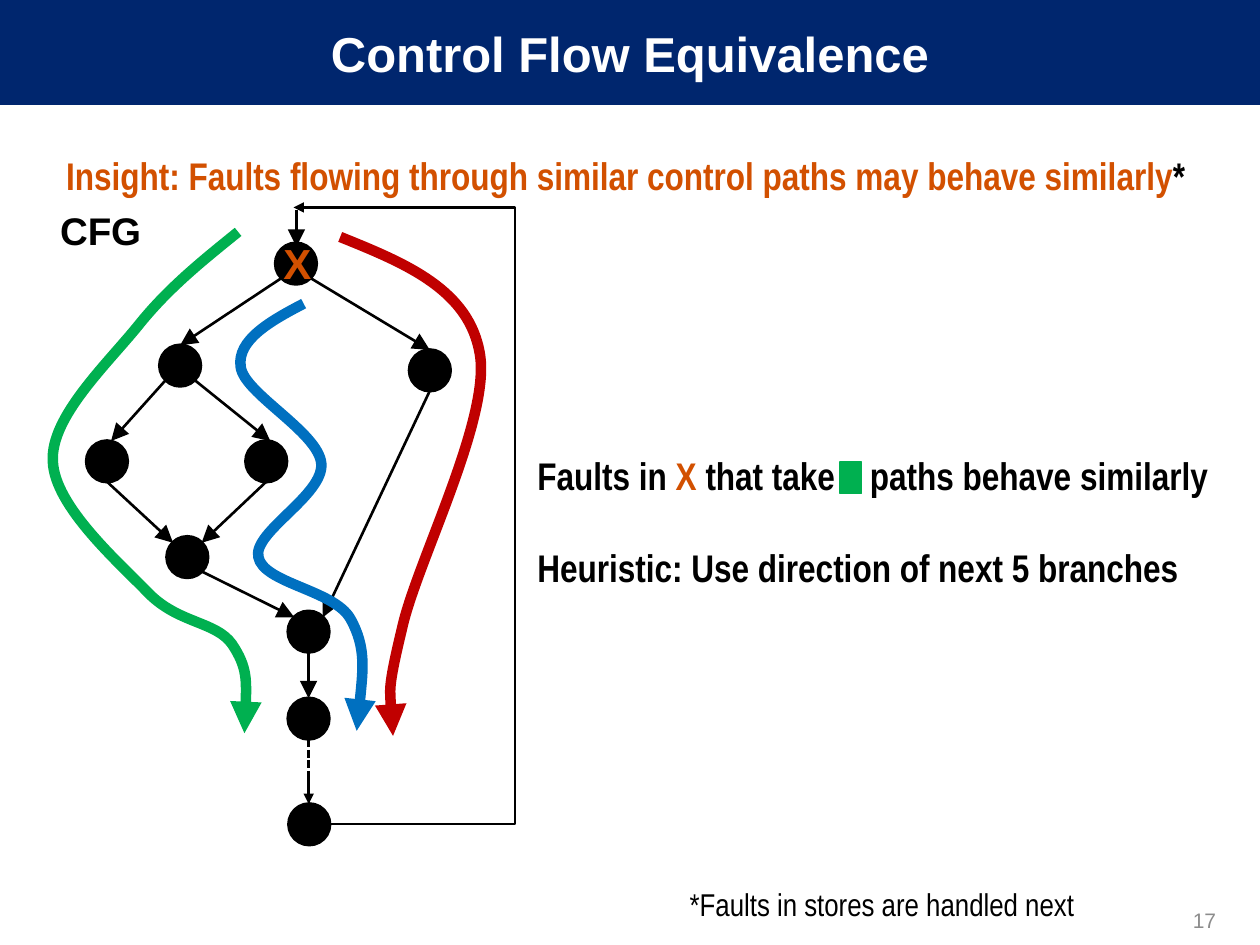
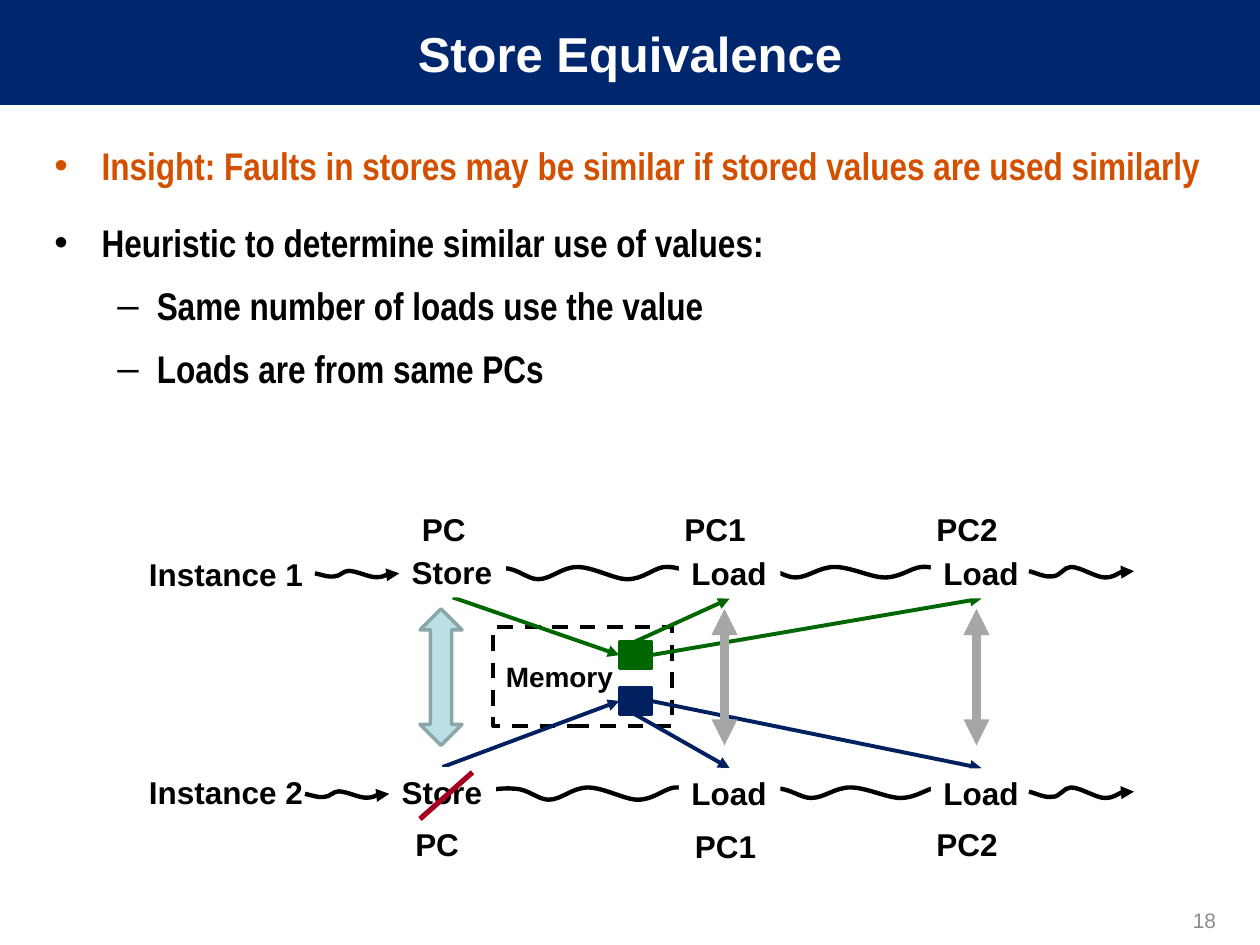
import pptx
import pptx.util
import pptx.dml.color
import pptx.enum.dml
import pptx.enum.shapes
import pptx.enum.text
import pptx.oxml.ns
import lxml.etree

Pt = pptx.util.Pt
rgb = pptx.dml.color.RGBColor.from_string
qn = pptx.oxml.ns.qn
Sub = lxml.etree.SubElement
SHAPE = pptx.enum.shapes.MSO_SHAPE
CONN = pptx.enum.shapes.MSO_CONNECTOR
DASH = pptx.enum.dml.MSO_LINE
ALIGN = pptx.enum.text.PP_ALIGN
ANCHOR = pptx.enum.text.MSO_ANCHOR

NAVY, ORANGE, GREEN, GREY = "00266E", "D25000", "00B050", "A6A6A6"
BLACK, WHITE, DARK_GREEN, DARK_BLUE = "000000", "FFFFFF", "006600", "002060"
TITLE = {"name": "Arial", "size": Pt(28), "bold": True}
NUMBER = {"name": "Arial", "size": Pt(12), "bold": False}
LABEL = {"name": "Arial", "size": Pt(18), "bold": True}
BODY = {"name": "Arial Narrow", "size": Pt(22), "bold": True}
NOTE = {"name": "Arial Narrow", "size": Pt(18), "bold": False}
INSIGHT = {"line_spacing": 1.2, "space_before": Pt(12.2)}
CENTER = {"alignment": ALIGN.CENTER}
MIDDLE = {"vertical_anchor": ANCHOR.MIDDLE}


def box(s, kind, at, fill=None, edge=None, weight=2, paras=(), font=LABEL, para={}, frame={}):
    at = [Pt(v) for v in at]
    if kind is None:
        sp = s.shapes.add_textbox(*at)
    else:
        sp = s.shapes.add_shape(kind, *at)
        sp.shadow.inherit = False
    if fill:
        sp.fill.solid()
        sp.fill.fore_color.rgb = rgb(fill)
    if edge:
        sp.line.color.rgb = rgb(edge)
        sp.line.width = Pt(weight)
    else:
        sp.line.fill.background()
    tf = sp.text_frame
    for k, v in {"word_wrap": True, "vertical_anchor": ANCHOR.TOP, **frame}.items():
        setattr(tf, k, v)
    for i, runs in enumerate(paras):
        p = tf.add_paragraph() if i else tf.paragraphs[0]
        for k, v in {"alignment": ALIGN.LEFT, **para}.items():
            setattr(p, k, v)
        for text, color in runs:
            r = p.add_run()
            r.text = text
            for k, v in font.items():
                setattr(r.font, k, v)
            r.font.color.rgb = rgb(color)
    return sp


def line(s, pts, color, weight, ends=("tailEnd",), dash=None, kind=CONN.STRAIGHT, head="med"):
    if len(pts) == 2:
        sp = s.shapes.add_connector(kind, *[Pt(v) for pt in pts for v in pt])
    else:
        track = [(Pt(x), Pt(y)) for x, y in pts]
        fb = s.shapes.build_freeform(*track[0])
        fb.add_line_segments(track[3::3], close=False)
        sp = fb.convert_to_shape()
        sp.fill.background()
        segments = list(sp._element.iter(qn("a:lnTo")))
        for i, segment in enumerate(segments):
            segment.getparent().replace(segment, curve := lxml.etree.Element(qn("a:cubicBezTo")))
            for x, y in track[3 * i + 1:3 * i + 4]:
                Sub(curve, qn("a:pt"), x=str(x - sp.left), y=str(y - sp.top))
    sp.line.color.rgb = rgb(color)
    sp.line.width = Pt(weight)
    if dash:
        sp.line.dash_style = dash
    spPr = sp._element.spPr
    for end in ends:
        Sub(spPr.find(qn("a:ln")), qn("a:" + end), type="triangle", w=head, len=head)
    Sub(spPr, qn("a:effectLst"))
    return sp


prs = pptx.Presentation()
prs.slide_width, prs.slide_height = Pt(720), Pt(540)
slides = []
for title, number in (("Control Flow Equivalence", "17"), ("Store Equivalence", "18")):
    s = prs.slides.add_slide(prs.slide_layouts[6])
    box(s, SHAPE.RECTANGLE, (0, 0, 720, 60), NAVY, paras=[[(title, WHITE)]],
        font=TITLE, para=CENTER, frame=MIDDLE)
    box(s, None, (534, 511, 168, 29), paras=[[(number, "8C8C8C")]],
        font=NUMBER, para={"alignment": ALIGN.RIGHT}, frame=MIDDLE)
    slides.append(s)

s = slides[0]
box(s, None, (0, 78, 720, 57), font=BODY, para={**CENTER, **INSIGHT}, paras=[[
    ("Insight: Faults flowing through similar control paths may behave similarly", ORANGE), ("* ", BLACK)]])

size = 23.3
nodes = {"X": (157.5, 139), "right": (234, 200), "left": (91.3, 197.3), "far left": (49.5, 252),
         "inner": (140.5, 252), "join": (95.4, 306.7), "merge": (164.7, 349.3), "next": (164.7, 399),
         "last": (165.1, 459.4)}
for at in nodes.values():
    box(s, SHAPE.OVAL, (*at, size, size), BLACK, BLACK)

sides = {"T": (0.5, 0), "B": (0.5, 1), "TL": (0.15, 0.15), "TR": (0.85, 0.15),
         "BL": (0.15, 0.85), "BR": (0.85, 0.85), "TT": (0.6, 0)}
for edge in (("X", "BR", "right", "T"), ("X", "BL", "left", "T"), ("left", "BR", "inner", "TT"),
             ("left", "BL", "far left", "TT"), ("far left", "B", "join", "TL"),
             ("inner", "B", "join", "TR"), ("join", "BR", "merge", "TL"),
             ("right", "B", "merge", "TR"), ("merge", "B", "next", "T")):
    line(s, [[nodes[n][k] + size * sides[side][k] for k in (0, 1)]
             for n, side in (edge[:2], edge[2:])], BLACK, 1.5, head="lg")

box(s, SHAPE.RECTANGLE, (24, 113.4, 67, 37), WHITE, paras=[[("CFG", BLACK)]],
    font={**LABEL, "size": Pt(22)}, para=CENTER,
    frame={"word_wrap": False, "margin_left": Pt(10), "margin_right": Pt(10), "margin_top": Pt(5)})
line(s, [(176.4, 422.5), (176.4, 443)], BLACK, 1.5, (), DASH.SQUARE_DOT)
line(s, [(176.4, 443), (176.4, 459.4)], BLACK, 1.5)
box(s, None, (154.8, 132, 31, 36), paras=[[("X", ORANGE)]],
    font={**LABEL, "size": Pt(24)}, frame={"word_wrap": False})

for color, pts in (
    (GREEN, [(136.1, 132.5), (116.6, 148.3), (96.5, 164.2), (79.2, 185.8), (61.2, 208.1),
             (28.8, 238.3), (30.2, 263.5), (31, 289.4), (68.4, 321.8), (85, 339.1),
             (102.2, 356.4), (123.1, 355), (132.5, 367.9), (141.8, 381.6), (141.1, 400.3), (139.7, 419)]),
    ("0070C0", [(173.5, 173.5), (154.1, 183.6), (135.4, 194.4), (137.5, 209.5), (139, 224.6),
                (182.2, 247), (183.6, 265), (185, 283), (144.7, 303.8), (147.6, 318.2),
                (150.5, 333.4), (190.8, 337), (200.2, 353.5), (209.5, 370.1), (206.6, 393.8), (203.8, 417.6)]),
    ("C00000", [(194.4, 135.4), (231.8, 150.5), (268.6, 165.6), (274.3, 203), (280.1, 240.5),
                (237.6, 322.6), (229.7, 359.3), (221, 395.3), (223.2, 408.2), (224.6, 420.5)]),
):
    line(s, pts, color, 6)

sp = box(s, None, (300, 255, 408, 87), font=BODY, paras=[
    [("Faults in ", BLACK), ("X", ORANGE), (" that take\tpaths behave similarly", BLACK)],
    [("Heuristic: Use direction of next 5 branches", BLACK)]])
first, second = sp.text_frame.paragraphs
second.space_before = Pt(26)
tabs = Sub(first._p.get_or_add_pPr(), qn("a:tabLst"))
Sub(tabs, qn("a:tab"), pos=str(Pt(190)), algn="l")
box(s, SHAPE.RECTANGLE, (480, 264, 12.2, 18), GREEN, GREEN, 0.75)

line(s, [(169.4, 120), (169.4, 141)], BLACK, 1.5, head="lg")
start, end, loop_x = (188.6, 470.9), (167.8, 118.6), 294.3
cn = line(s, [start, end], BLACK, 1.5, kind=CONN.ELBOW)
bend = round((start[0] - loop_x) / (start[0] - end[0]) * 100000)
Sub(cn._element.spPr.find(qn("a:prstGeom")).get_or_add_avLst(), qn("a:gd"), name="adj1", fmla=f"val {bend}")
box(s, None, (333, 498, 342, 39), paras=[[("*Faults in stores are handled next", BLACK)]],
    font=NOTE, para={**CENTER, **INSIGHT})

s = slides[1]
wave = [(0, 0.5), (0.06, 0.2), (0.11, 0), (0.16, 0.1), (0.21, 0.1), (0.25, 1), (0.29, 1),
        (0.34, 1), (0.38, 0), (0.44, 0), (0.5, 0), (0.58, 1), (0.63, 1), (0.69, 1), (0.73, 0.1),
        (0.77, 0), (0.82, -0.1), (0.87, 0.5), (0.9, 0.55), (0.94, 0.6), (0.97, 0.6), (1, 0.55)]
squiggle = [(0, 0.4), (0.08, 0.6), (0.15, 1), (0.22, 0.9), (0.3, 0.9), (0.33, 0), (0.4, 0),
            (0.49, 0), (0.64, 1), (0.72, 1), (0.81, 1), (0.85, 0.5), (0.91, 0.4),
            (0.95, 0.3), (0.97, 0.4), (1, 0.4)]
waves = []
for unit, ends, places in (
    (wave, (), ((420, 450, 150, 6), (270, 450, 150, 7), (411, 324, 150, 6), (264, 324, 150, 7))),
    (squiggle, ("tailEnd",), ((180, 326.2, 48.2, 3.6), (174.3, 452.2, 48.2, 3.6),
                              (588, 450, 60, 6), (588, 324, 60, 6))),
):
    for x, y, w, h in places:
        waves.append(line(s, [(x + w * u, y + h * v) for u, v in unit], BLACK, 2.5, ends))

sp = box(s, None, (24, 72.3, 690, 186), font=BODY, para=INSIGHT, paras=[
    [("Insight: Faults in stores may be similar if stored values are used similarly", ORANGE)],
    [("Heuristic to determine similar use of values:", BLACK)],
    [("Same number of loads use the value", BLACK)],
    [("Loads are from same PCs", BLACK)]])
for i, p in enumerate(sp.text_frame.paragraphs):
    char, left, hang = ("•", 27, 27) if i < 2 else ("–", 58.5, 22.5)
    if i > 1:
        p.level = 1
        p.space_before = Pt(4.4)
    pPr = p._p.get_or_add_pPr()
    pPr.set("marL", str(Pt(left)))
    pPr.set("indent", str(-Pt(hang)))
    Sub(pPr, qn("a:buFont"), typeface="Arial")
    Sub(pPr, qn("a:buChar"), char=char)

labels = {}
for name, text, x, y, w in (
    ("store 1", "Store", 228.2, 312.4, 61), ("store 2", "Store", 222.4, 438.3, 61),
    ("load 1a", "Load", 388, 313, 58), ("load 1b", "Load", 532, 313, 58),
    ("load 2a", "Load", 388, 439, 58), ("load 2b", "Load", 532, 439, 58),
    ("pc 1", "PC", 234, 288, 40), ("pc 1a", "PC1", 384, 288, 50), ("pc 1b", "PC2", 528, 288, 50),
    ("pc 2", "PC", 230.2, 468, 40), ("pc 2a", "PC1", 390, 469, 50), ("pc 2b", "PC2", 528, 468, 50),
    ("instance 1", "Instance 1", 78, 313.4, 104), ("instance 2", "Instance 2", 78, 438, 104),
):
    kind, fill = (None, None) if text.startswith("Instance") else (SHAPE.RECTANGLE, WHITE)
    labels[name] = box(s, kind, (x, y, w, 29), fill, paras=[[(text, BLACK)]], frame={"word_wrap": False})

memory = box(s, SHAPE.RECTANGLE, (282, 358.5, 102, 56.5), WHITE, BLACK, 2.25,
             paras=[[("Memory", BLACK)]], font={**LABEL, "size": Pt(16)}, frame=MIDDLE)
memory.line.dash_style = DASH.DASH
for row, y, color, store_side, value_side, load_side in (
    (1, 366.6, DARK_GREEN, 2, 0, 2), (2, 392.8, DARK_BLUE, 0, 2, 0),
):
    value = box(s, SHAPE.RECTANGLE, (354, y, 18, 15.5), color, color)
    for a, i, b, j in ((labels[f"store {row}"], store_side, value, 1),
                       (value, value_side, labels[f"load {row}a"], load_side),
                       (value, 3, labels[f"load {row}b"], load_side)):
        cn = line(s, [(0, 0), (0, 0)], color, 2.25)
        cn.begin_connect(a, i)
        cn.end_connect(b, j)
for sp in (*labels.values(), *waves[-2:]):
    s.shapes._spTree.append(sp._element)

box(s, SHAPE.UP_DOWN_ARROW, (240, 348, 24, 78), "BBE0E3", "8AA6A8")
for x in (414, 558):
    line(s, [(x, 348), (x, 426)], GREY, 5, ("headEnd", "tailEnd"))
line(s, [(240, 468), (270, 441.3)], "A50021", 3, ())

prs.save("out.pptx")
